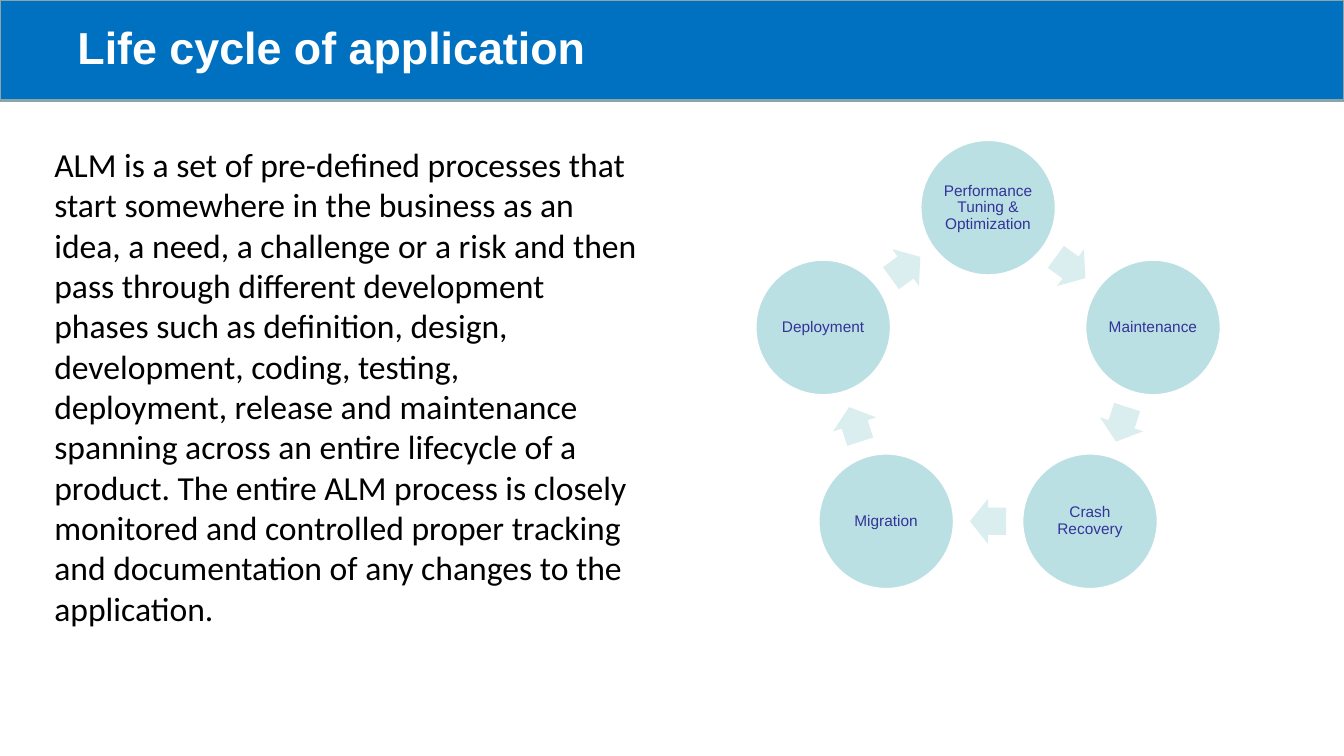
from math import cos, radians, sin

from pptx import Presentation
from pptx.dml.color import RGBColor
from pptx.enum.shapes import MSO_SHAPE
from pptx.enum.text import MSO_ANCHOR, PP_ALIGN
from pptx.util import Inches, Pt

BLUE = RGBColor(0x00, 0x70, 0xC0)
GREY = RGBColor(0x8A, 0xA6, 0xA8)
WHITE = RGBColor(0xFF, 0xFF, 0xFF)
BLACK = RGBColor(0x00, 0x00, 0x00)
TEAL = RGBColor(0xBB, 0xE0, 0xE3)
PALE_TEAL = RGBColor(0xDA, 0xED, 0xEF)
INDIGO = RGBColor(0x33, 0x33, 0x99)

presentation = Presentation()
presentation.slide_width = Inches(13.33)
presentation.slide_height = Inches(7.5)
slide = presentation.slides.add_slide(presentation.slide_layouts[6])


def add_filled_shape(kind, left, top, width, height, fill, line=None):
    shape = slide.shapes.add_shape(
        kind, Inches(left), Inches(top), Inches(width), Inches(height))
    shape.shadow.inherit = False
    shape.fill.solid()
    shape.fill.fore_color.rgb = fill
    if line is None:
        shape.line.fill.background()
    else:
        shape.line.color.rgb = line
        shape.line.width = Pt(2)
    return shape


def write_text(shape, text, font_name, size, color):
    shape.text_frame.word_wrap = True
    paragraph = shape.text_frame.paragraphs[0]
    paragraph.text = text
    paragraph.font.name = font_name
    paragraph.font.size = Pt(size)
    paragraph.font.color.rgb = color
    return paragraph


# Title bar
add_filled_shape(MSO_SHAPE.RECTANGLE, 0, 0, 13.33, 1, BLUE, GREY)
title = slide.shapes.add_textbox(Inches(0.67), Inches(0), Inches(12), Inches(0.92))
title.text_frame.vertical_anchor = MSO_ANCHOR.MIDDLE
write_text(title, "Life cycle of application", "Arial", 32, WHITE).font.bold = True

# Cycle: circles on a ring, each followed by an arrow halfway to the next
stages = ["Performance Tuning & Optimization", "Maintenance",
          "Crash Recovery", "Migration", "Deployment"]
center_x, center_y, radius = 9.8, 3.78, 1.72
diameter = 1.35
arrow_width, arrow_height = 0.36, 0.45
step = 360 / len(stages)
arrow_radius = radius * cos(radians(step / 2))

for index, stage in enumerate(stages):
    angle = radians(index * step)
    circle = add_filled_shape(
        MSO_SHAPE.OVAL,
        center_x + radius * sin(angle) - diameter / 2,
        center_y - radius * cos(angle) - diameter / 2,
        diameter, diameter, TEAL, WHITE)
    frame = circle.text_frame
    frame.vertical_anchor = MSO_ANCHOR.MIDDLE
    frame.margin_left = frame.margin_right = Inches(0.02)
    frame.margin_top = frame.margin_bottom = Inches(0.02)
    label = write_text(circle, stage, "Arial", 11, INDIGO)
    label.alignment = PP_ALIGN.CENTER
    label.line_spacing = 0.9

    direction = (index + 0.5) * step
    arrow = add_filled_shape(
        MSO_SHAPE.RIGHT_ARROW,
        center_x + arrow_radius * sin(radians(direction)) - arrow_width / 2,
        center_y - arrow_radius * cos(radians(direction)) - arrow_height / 2,
        arrow_width, arrow_height, PALE_TEAL)
    arrow.adjustments[0] = 0.6
    arrow.adjustments[1] = 0.5
    arrow.rotation = direction

# Description
description = slide.shapes.add_textbox(
    Inches(0.44), Inches(1.38), Inches(5.98), Inches(4.95))
write_text(
    description,
    "ALM is a set of pre-defined processes that start somewhere in the business "
    "as an idea, a need, a challenge or a risk and then pass through different "
    "development phases such as definition, design, development, coding, testing, "
    "deployment, release and maintenance spanning across an entire lifecycle of a "
    "product. The entire ALM process is closely monitored and controlled proper "
    "tracking and documentation of any changes to the application.",
    "Calibri", 24, BLACK)

presentation.save("out.pptx")
